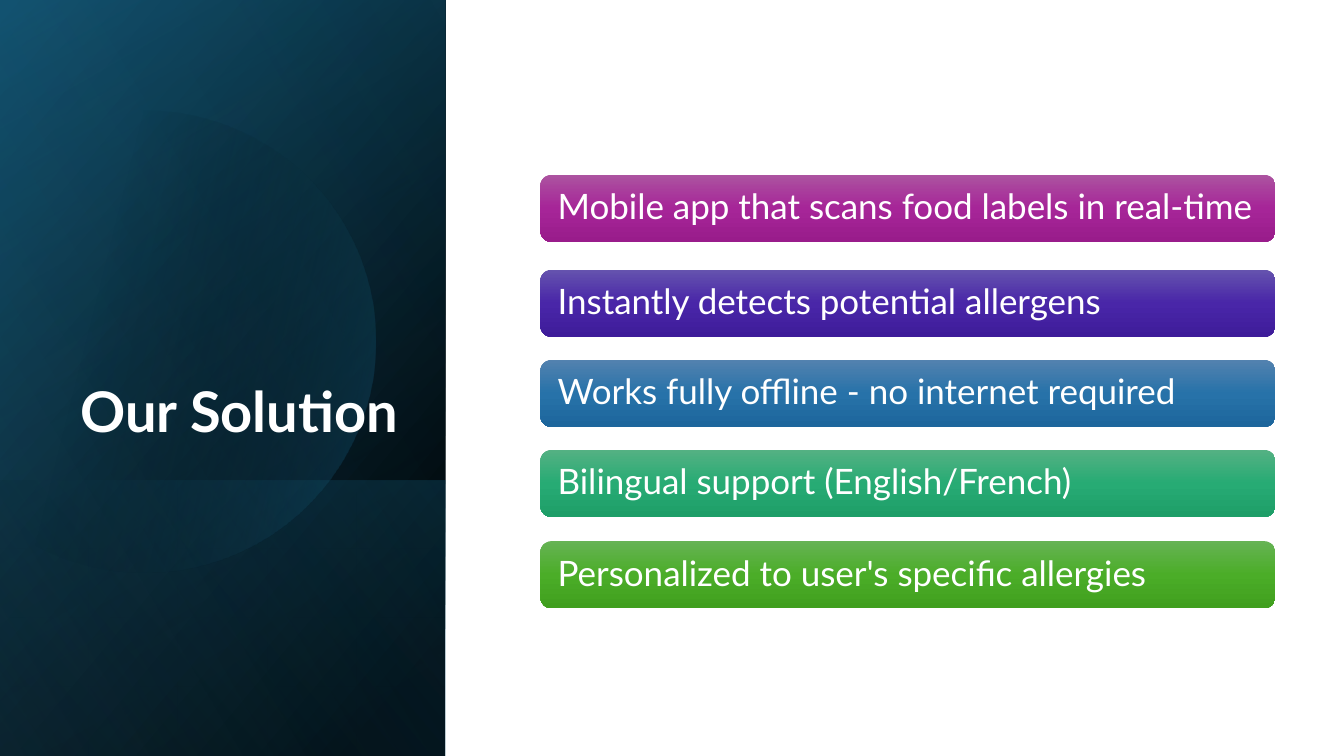
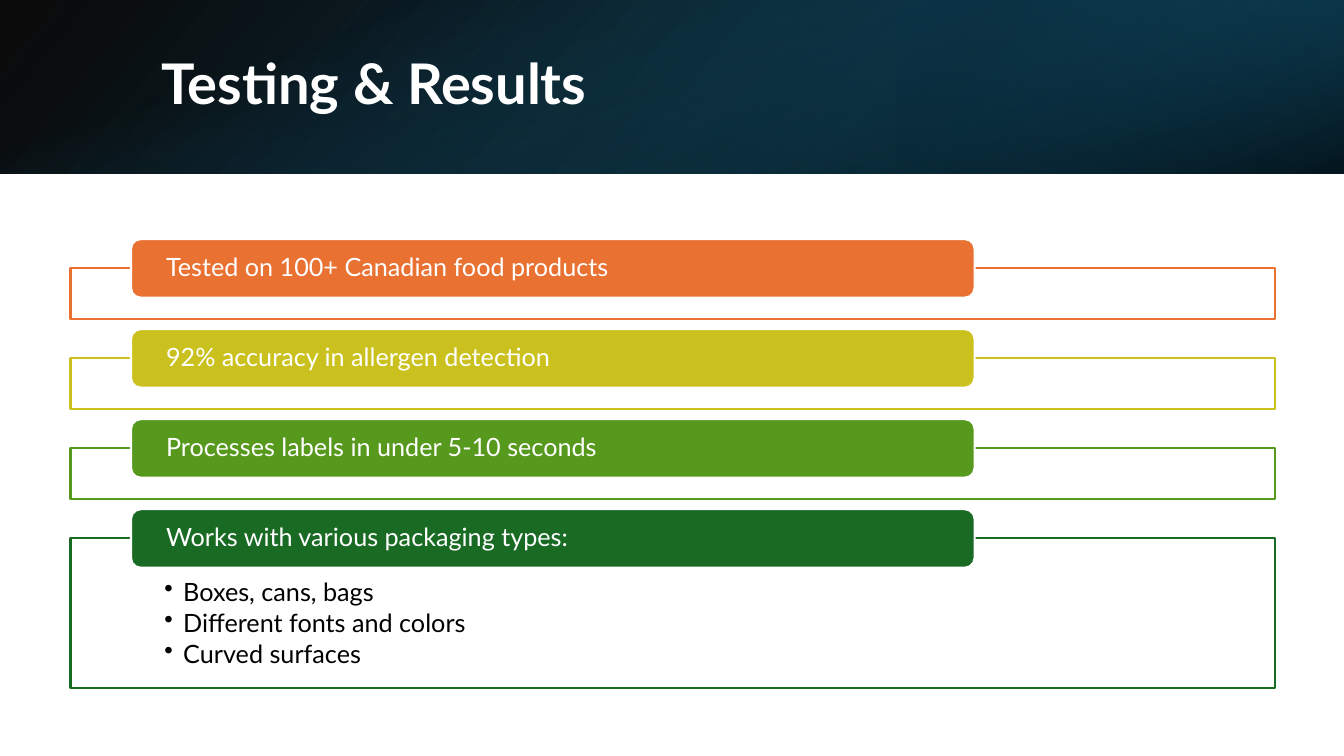
from dataclasses import dataclass
from math import acos, cos, pi, sin

from lxml.etree import SubElement
from pptx import Presentation
from pptx.dml.color import RGBColor
from pptx.enum.shapes import MSO_SHAPE
from pptx.enum.text import MSO_ANCHOR, PP_ALIGN
from pptx.oxml.ns import qn
from pptx.util import Pt


@dataclass(frozen=True)
class Theme:
    font: str = "Lato"
    white: str = "FFFFFF"
    black: str = "000000"
    teal: str = "156082"
    navy: str = "104862"
    deep: str = "0B3041"
    sky: str = "46B1E1"
    title_size: float = 40
    feature_size: float = 25
    result_size: float = 18
    line_width: float = 1.5
    line_spacing: float = 0.9


THEME = Theme()
WIDTH, HEIGHT = 960, 540
SIDE_WIDTH, BAND_HEIGHT = 318, 124

SOLUTION_TITLE = "Our Solution"
FEATURES = [
    ("Mobile app that scans food labels in real-time", 124.8, ("AC53A0", "A62598", "991C8B")),
    ("Instantly detects potential allergens", 192.6, ("6553AE", "4926A8", "3E1C9A")),
    ("Works fully offline - no internet required", 257, ("5382AF", "2772A9", "1D669C")),
    ("Bilingual support (English/French)", 321.3, ("54B183", "27AB74", "1E9E68")),
    ("Personalized to user's specific allergies", 386.5, ("66B354", "4BAD28", "409F1E")),
]
RESULTS_TITLE = "Testing & Results"
RESULTS = [
    ("Tested on 100+ Canadian food products", "E97132", []),
    ("92% accuracy in allergen detection", "CBC11E", []),
    ("Processes labels in under 5-10 seconds", "56991D", []),
    ("Works with various packaging types:", "196B24",
     ["Boxes, cans, bags", "Different fonts and colors", "Curved surfaces"]),
]

SIDE = (0, 0, SIDE_WIDTH, HEIGHT)
SIDE_BASE = [
    (SIDE, 90, True, 50, [(8, THEME.black, 100), (100, THEME.navy, 100)]),
    (SIDE, 90, True, 30, [(0, THEME.black, 0), (99, THEME.teal, 46)]),
    ((0, 343, SIDE_WIDTH, 197), 90, True, 130, [(2, THEME.teal, 29), (100, THEME.black, 30)]),
]
SIDE_GLOW = (SIDE, 90, True, 120, [(0, THEME.black, 0), (99, THEME.sky, 11)])
DISC_STOPS = [(29, THEME.black, 0), (100, THEME.teal, 43)]
BAND = (0, 0, WIDTH, BAND_HEIGHT)
BAND_LAYERS = [
    (BAND, 0, True, 140, [(0, THEME.black, 96), (100, THEME.navy, 100)]),
    ((640, 0, 320, BAND_HEIGHT), 180, True, 320, [(19, THEME.deep, 68), (100, THEME.teal, 79)]),
    (BAND, 90, False, 340, [(23, THEME.teal, 0), (99, THEME.black, 74)]),
]


def points(*values):
    return [Pt(value) for value in values]


def fill_gradient(shape, stops, angle):
    shape.fill.background()
    blank = shape.element.spPr.find(qn("a:noFill"))
    blank.tag = qn("a:gradFill")
    blank.set("rotWithShape", "1")
    stop_list = SubElement(blank, qn("a:gsLst"))
    for position, color, opacity in stops:
        stop = SubElement(stop_list, qn("a:gs"), pos=str(position * 1000))
        tint = SubElement(stop, qn("a:srgbClr"), val=color)
        if opacity < 100:
            SubElement(tint, qn("a:alpha"), val=str(opacity * 1000))
    SubElement(blank, qn("a:lin"), ang=str(angle * 60000), scaled="0")


def add_block(page, kind, frame, fill=None, line=None):
    shape = page.shapes.add_shape(kind, *points(*frame))
    shape.shadow.inherit = False
    if fill:
        shape.fill.solid()
        shape.fill.fore_color.rgb = RGBColor.from_string(fill)
    if line:
        shape.line.color.rgb = RGBColor.from_string(line)
        shape.line.width = Pt(THEME.line_width)
    else:
        shape.line.fill.background()
    return shape


def add_panel(page, frame, rotation, flipped, angle, stops):
    left, top, width, height = frame
    if rotation == 90:
        left, top = left + (width - height) / 2, top + (height - width) / 2
        width, height = height, width
    panel = add_block(page, MSO_SHAPE.RECTANGLE, (left, top, width, height))
    fill_gradient(panel, stops, angle)
    panel.rotation = rotation
    if flipped:
        panel.element.spPr.xfrm.set("flipH", "1")


def add_disc(page, center_x, center_y, radius, steps=90):
    reach = acos(-center_x / radius)
    angles = [-reach + 2 * reach * step / steps for step in range(steps + 1)]
    outline = [(Pt(max(0, center_x + radius * cos(angle))), Pt(center_y + radius * sin(angle)))
               for angle in angles]
    builder = page.shapes.build_freeform(*outline[0])
    builder.add_line_segments(outline[1:], close=True)
    disc = builder.convert_to_shape()
    disc.shadow.inherit = False
    disc.line.fill.background()
    fill_gradient(disc, DISC_STOPS, 14)


def write(box, lines, size, color, insets, anchor=MSO_ANCHOR.MIDDLE,
          align=PP_ALIGN.LEFT, bold=False, bullets=False):
    frame = box.text_frame
    frame.word_wrap = True
    frame.vertical_anchor = anchor
    (frame.margin_left, frame.margin_top,
     frame.margin_right, frame.margin_bottom) = points(*insets)
    for index, line in enumerate(lines):
        para = frame.add_paragraph() if index else frame.paragraphs[0]
        if bullets:
            props = para._p.get_or_add_pPr()
            props.set("marL", str(Pt(13.5)))
            props.set("indent", str(-Pt(13.5)))
            SubElement(props, qn("a:buChar"), char="•")
            para.space_after = Pt(size * 0.15)
        para.alignment = align
        para.line_spacing = THEME.line_spacing
        span = para.add_run()
        span.text = line
        span.font.name = THEME.font
        span.font.size = Pt(size)
        span.font.bold = bold
        span.font.color.rgb = RGBColor.from_string(color)


def add_title(page, text, frame, anchor, align):
    box = page.shapes.add_textbox(*points(*frame))
    write(box, [text], THEME.title_size, THEME.white, (7.2, 3.6, 7.2, 3.6), anchor, align, bold=True)


def build_solution(page):
    for layer in SIDE_BASE:
        add_panel(page, *layer)
    add_disc(page, 103, 244, 165)
    add_panel(page, *SIDE_GLOW)
    add_title(page, SOLUTION_TITLE, (46, 132.5, 245.5, 188.5), MSO_ANCHOR.BOTTOM, PP_ALIGN.RIGHT)
    for text, top, colors in FEATURES:
        bar = add_block(page, MSO_SHAPE.ROUNDED_RECTANGLE, (386, top, 525, 48))
        fill_gradient(bar, [(50 * index, color, 100) for index, color in enumerate(colors)], 90)
        write(bar, [text], THEME.feature_size, THEME.white, (10, 7.2, 7.2, 7.2))


def build_results(page):
    for layer in BAND_LAYERS:
        add_panel(page, *layer)
    add_title(page, RESULTS_TITLE, (108, 27.5, 790, 69), MSO_ANCHOR.MIDDLE, PP_ALIGN.LEFT)
    first_top, pitch, pill_height = 191.7, 64.3, 41.8
    for index, (heading, color, details) in enumerate(RESULTS):
        top = first_top + index * pitch
        height = 107 if details else 36
        outline = add_block(page, MSO_SHAPE.RECTANGLE, (50.4, top, 860.6, height), THEME.white, color)
        if details:
            write(outline, details, THEME.result_size, THEME.black, (67, 29.5, 67, 10),
                  MSO_ANCHOR.TOP, bullets=True)
        pill = add_block(page, MSO_SHAPE.ROUNDED_RECTANGLE,
                         (93.6, top - pill_height / 2, 602.6, pill_height), color, THEME.white)
        write(pill, [heading], THEME.result_size, THEME.white, (23, 0, 23, 0))


def main():
    deck = Presentation()
    deck.slide_width, deck.slide_height = points(WIDTH, HEIGHT)
    for build in (build_solution, build_results):
        build(deck.slides.add_slide(deck.slide_layouts[6]))
    deck.save("out.pptx")


if __name__ == "__main__":
    main()
